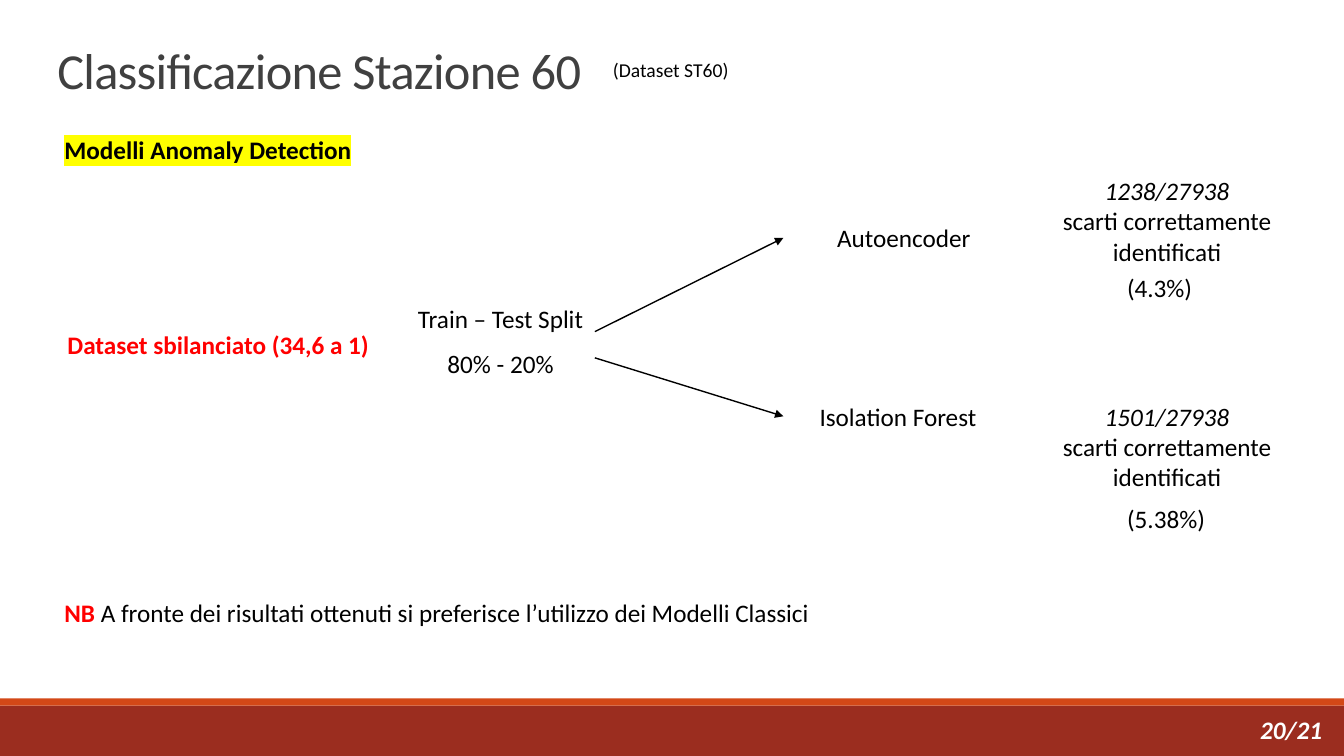
from dataclasses import dataclass

from lxml import etree
from pptx import Presentation
from pptx.dml.color import RGBColor
from pptx.enum.shapes import MSO_CONNECTOR, MSO_SHAPE
from pptx.enum.text import MSO_ANCHOR, MSO_AUTO_SIZE, PP_ALIGN
from pptx.oxml.ns import qn
from pptx.slide import Slide
from pptx.util import Inches, Pt

LEFT, CENTER = PP_ALIGN.LEFT, PP_ALIGN.CENTER
TOP, BOTTOM = MSO_ANCHOR.TOP, MSO_ANCHOR.BOTTOM
GROW, FIXED = MSO_AUTO_SIZE.SHAPE_TO_FIT_TEXT, MSO_AUTO_SIZE.NONE
RECTANGLE, STRAIGHT = MSO_SHAPE.RECTANGLE, MSO_CONNECTOR.STRAIGHT

COLORS = {
    "black": "000000",
    "white": "FFFFFF",
    "red": "FF0000",
    "yellow": "FFFF00",
    "title": "404040",
    "footer": "9B2D1F",
    "stripe": "D34817",
}
FONT = "Calibri"
SLIDE_WIDTH, SLIDE_HEIGHT = 13.33, 7.5


@dataclass(frozen=True)
class Run:
    text: str
    size: float = 18
    color: str = "black"
    bold: bool = False
    italic: bool = False
    highlight: str = ""
    spacing: float = 0


@dataclass(frozen=True)
class Label:
    box: tuple[float, float, float, float]
    paragraphs: tuple[tuple[Run, ...], ...]
    align: PP_ALIGN = LEFT
    line_spacing: float = 1.0
    wrap: bool = True
    anchor: MSO_ANCHOR = TOP
    auto_size: MSO_AUTO_SIZE = GROW


@dataclass(frozen=True)
class Band:
    top: float
    height: float
    color: str


@dataclass(frozen=True)
class Arrow:
    start: tuple[float, float]
    end: tuple[float, float]


def result_label(top: float, count: str) -> Label:
    description = Run("scarti correttamente identificati")
    return Label((10.16, top, 2.83, 1.01),
                 ((Run(count, italic=True),), (description,)), align=CENTER)


BANDS = [Band(7, 0.5, "footer"), Band(6.93, 0.07, "stripe")]

ARROWS = [
    Arrow((5.9, 3.29), (7.77, 2.36)),
    Arrow((5.9, 3.55), (7.77, 4.13)),
]

LABELS = [
    Label((0.47, 0.27, 11, 0.77),
          ((Run("Classificazione Stazione 60", 36, "title", spacing=-0.5),),),
          line_spacing=0.85, anchor=BOTTOM, auto_size=FIXED),
    Label((0.54, 1.13, 3.88, 0.51),
          ((Run("Modelli Anomaly Detection", bold=True, highlight="yellow"),),),
          line_spacing=1.5),
    Label((5.98, 0.53, 1.36, 0.34), ((Run("(Dataset ST60)", 14),),), wrap=False),
    Label((0.54, 3.07, 3.25, 0.51),
          ((Run("Dataset sbilanciato (34,6 a 1)", color="red", bold=True),),),
          align=CENTER, line_spacing=1.5),
    Label((4.03, 2.81, 1.87, 0.96), ((Run("Train – Test Split 80% - 20%"),),),
          align=CENTER, line_spacing=1.5),
    Label((8.16, 2.16, 1.61, 0.4), ((Run("Autoencoder"),),), align=CENTER),
    Label((8.03, 3.93, 1.87, 0.4), ((Run("Isolation Forest"),),)),
    result_label(1.69, "1238/27938"),
    Label((11.08, 2.65, 0.86, 0.4), ((Run("(4.3%)"),),), wrap=False),
    result_label(3.93, "1501/27938"),
    Label((11.08, 4.94, 0.98, 0.4), ((Run("(5.38%)"),),), wrap=False),
    Label((0.54, 5.88, 7.63, 0.4),
          ((Run("NB ", color="red", bold=True),
            Run("A fronte dei risultati ottenuti si preferisce l’utilizzo dei Modelli Classici")),),
          wrap=False),
    Label((12.4, 7.04, 0.82, 0.4),
          ((Run("20/21", color="white", bold=True, italic=True),),), wrap=False),
]


def rgb(name: str) -> RGBColor:
    return RGBColor.from_string(COLORS[name])


def apply_format(target: object, values: dict[str, object]) -> None:
    for name, value in values.items():
        setattr(target, name, value)


def draw_band(slide: Slide, band: Band) -> None:
    shape = slide.shapes.add_shape(RECTANGLE, 0, Inches(band.top),
                                   Inches(SLIDE_WIDTH), Inches(band.height))
    shape.shadow.inherit = False
    shape.fill.solid()
    shape.fill.fore_color.rgb = rgb(band.color)
    shape.line.fill.background()


def draw_arrow(slide: Slide, arrow: Arrow) -> None:
    points = [Inches(value) for value in arrow.start + arrow.end]
    connector = slide.shapes.add_connector(STRAIGHT, *points)
    connector.line.width = Pt(1)
    connector.line.color.rgb = rgb("black")
    etree.SubElement(connector.line._get_or_add_ln(), qn("a:tailEnd"), type="triangle")
    etree.SubElement(connector._element.spPr, qn("a:effectLst"))


def draw_label(slide: Slide, label: Label) -> None:
    shape = slide.shapes.add_textbox(*(Inches(value) for value in label.box))
    frame = shape.text_frame
    apply_format(frame, {"word_wrap": label.wrap, "auto_size": label.auto_size,
                         "vertical_anchor": label.anchor})
    for index, runs in enumerate(label.paragraphs):
        paragraph = frame.add_paragraph() if index else frame.paragraphs[0]
        apply_format(paragraph, {"alignment": label.align,
                                 "line_spacing": label.line_spacing})
        for item in runs:
            run = paragraph.add_run()
            run.text = item.text
            apply_format(run.font, {"name": FONT, "size": Pt(item.size),
                                    "bold": item.bold, "italic": item.italic})
            run.font.color.rgb = rgb(item.color)
            properties = run._r.get_or_add_rPr()
            if item.spacing:
                properties.set("spc", str(int(item.spacing * 100)))
            if item.highlight:
                highlight = etree.Element(qn("a:highlight"))
                etree.SubElement(highlight, qn("a:srgbClr"), val=COLORS[item.highlight])
                properties.find(qn("a:solidFill")).addnext(highlight)


def main() -> None:
    presentation = Presentation()
    apply_format(presentation, {"slide_width": Inches(SLIDE_WIDTH),
                                "slide_height": Inches(SLIDE_HEIGHT)})
    slide = presentation.slides.add_slide(presentation.slide_layouts[6])
    for band in BANDS:
        draw_band(slide, band)
    for arrow in ARROWS:
        draw_arrow(slide, arrow)
    for label in LABELS:
        draw_label(slide, label)
    presentation.save("out.pptx")


if __name__ == "__main__":
    main()
